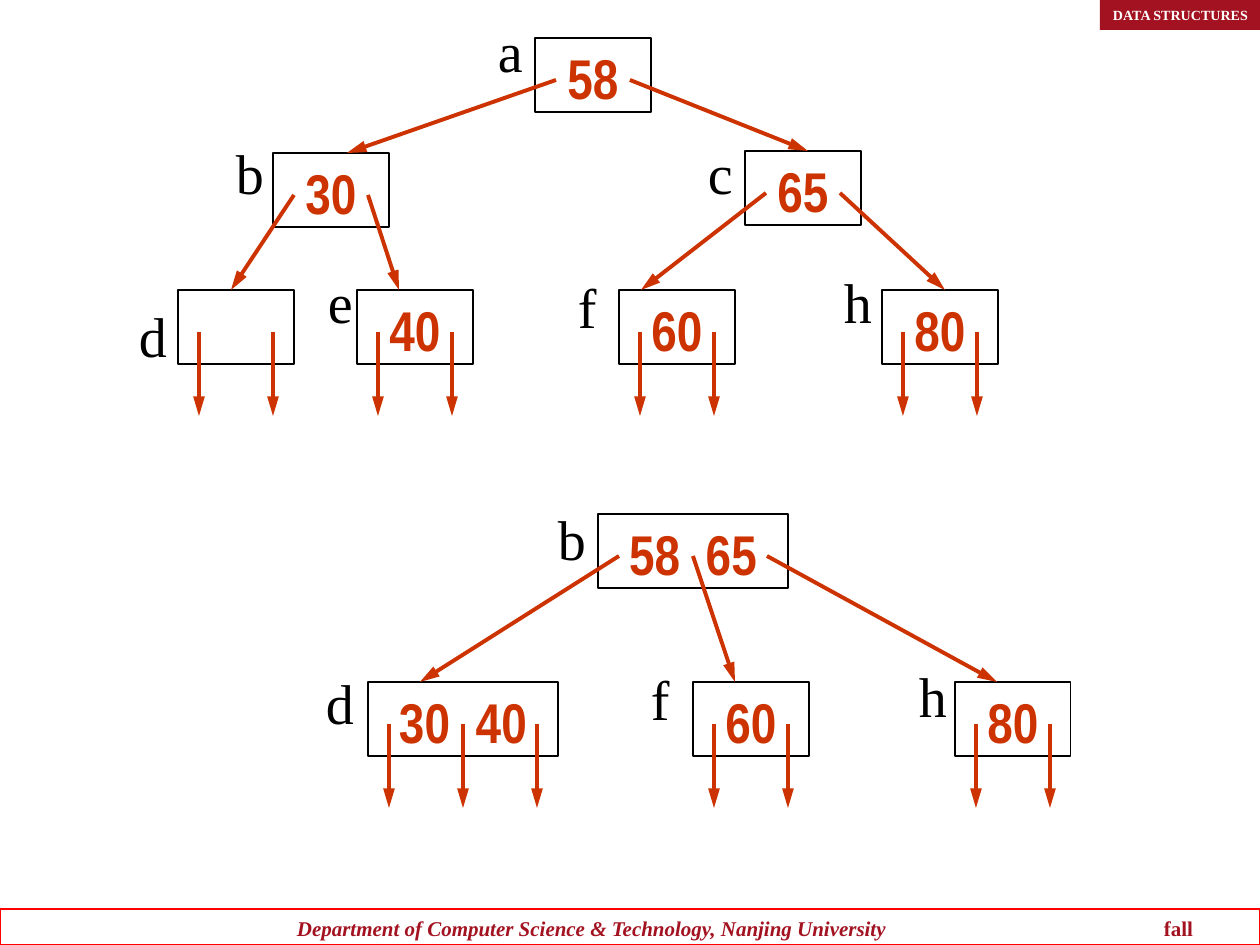
from dataclasses import dataclass

from lxml import etree
from pptx import Presentation, util as u
from pptx.dml.color import RGBColor
from pptx.enum import shapes, text
from pptx.oxml.ns import qn

PX = 914400 // 126
W, H = 1260, 945
NODE_H, KEY_W, EDGE_W, ARROW_Y, LEAF_LEN = 74, 74, 21, 42, 84

COLORS = {"ink": "000000", "key": "CC3300", "brand": "A31221",
          "rule": "FF0000", "paper": "FFFFFF"}

KEY_FONT = {"name": "Arial Narrow", "size": u.Pt(32), "bold": True}
LABEL_FONT = {"name": "Times New Roman", "size": u.Pt(32)}
FOOTER_FONT = {"name": "Times New Roman", "size": u.Pt(12), "bold": True}
HEADER_FONT = {"name": "Times New Roman", "size": u.Pt(8), "bold": True}


@dataclass
class Node:
    x: int
    y: int
    keys: tuple
    label_dx: int
    label_dy: int
    entry: int = 0
    children: str = ""

    @property
    def pointers(self):
        return max(len(self.keys), 1) + 1

    @property
    def width(self):
        return 2 * EDGE_W + KEY_W * (self.pointers - 1)


BINARY_TREE = {
    "a": Node(357, 0, ("58",), -37, -22, children="bc"),
    "b": Node(95, 115, ("30",), -37, -15, 74, "de"),
    "c": Node(567, 113, ("65",), -37, -13, 63, "fh"),
    "d": Node(0, 252, (), -39, 11, 53),
    "e": Node(179, 252, ("40",), -29, -22, 42),
    "f": Node(441, 252, ("60",), -41, -17, 22),
    "h": Node(704, 252, ("80",), -38, -22, 63),
}
MERGED_TREE = {
    "b": Node(230, 0, ("58", "65"), -40, -10, children="dfh"),
    "d": Node(0, 168, ("30", "40"), -42, -14, 52),
    "f": Node(325, 168, ("60",), -42, -17, 42),
    "h": Node(587, 168, ("80",), -36, -21, 42),
}


def emu(*lengths):
    return [n * PX for n in lengths]


def rgb(name):
    return RGBColor.from_string(COLORS[name])


def set_frame(sp, anchor, left=0, top=0, wrap=True):
    tf = sp.text_frame
    values = {"margin_left": left * PX, "margin_right": 0, "margin_top": top * PX,
              "margin_bottom": 0, "vertical_anchor": anchor, "word_wrap": wrap}
    for name, value in values.items():
        setattr(tf, name, value)
    return tf.paragraphs[0]


def add_run(p, words, font, color, **extra):
    r = p.add_run()
    r.text = words
    for name, value in {**font, **extra}.items():
        setattr(r.font, name, value)
    r.font.color.rgb = rgb(color)
    return r


def add_box(s, x, y, w, h, fill=None, line=None):
    sp = s.shapes.add_shape(shapes.MSO_SHAPE.RECTANGLE, *emu(x, y, w, h))
    sp.shadow.inherit = False
    if fill:
        sp.fill.solid()
        sp.fill.fore_color.rgb = rgb(fill)
    else:
        sp.fill.background()
    if line:
        sp.line.color.rgb = rgb(line)
        sp.line.width = u.Pt(0.75)
    else:
        sp.line.fill.background()
    return sp


def add_arrow(s, x1, y1, x2, y2):
    sp = s.shapes.add_connector(shapes.MSO_CONNECTOR.STRAIGHT, *emu(x1, y1, x2, y2))
    sp.line.color.rgb = rgb("key")
    sp.line.width = u.Pt(2.25)
    etree.SubElement(sp.line._get_or_add_ln(), qn("a:tailEnd"), type="triangle",
                     w="med", len="lg")
    etree.SubElement(sp._element.spPr, qn("a:effectLst"))


def add_node(s, x, y, name, node):
    sp = add_box(s, x, y, node.width, NODE_H, line="ink")
    p = set_frame(sp, text.MSO_ANCHOR.MIDDLE, top=4, wrap=False)
    p.alignment = text.PP_ALIGN.CENTER
    for i, key in enumerate(node.keys):
        if i:
            gap = add_run(p, " ", KEY_FONT, "key")
            gap.font._element.set("spc", "730")
        add_run(p, key, KEY_FONT, "key")
    sp = s.shapes.add_textbox(*emu(x + node.label_dx, y + node.label_dy, 36, 68))
    add_run(set_frame(sp, text.MSO_ANCHOR.TOP), name, LABEL_FONT, "ink")


def add_pointers(s, x, y, node, targets):
    for i in range(node.pointers):
        x1, y1 = x + EDGE_W + i * KEY_W, y + ARROW_Y
        x2, y2 = targets[i] if targets else (x1, y1 + LEAF_LEN)
        add_arrow(s, x1, y1, x2, y2)


def add_tree(s, left, top, tree):
    for name, node in tree.items():
        add_node(s, left + node.x, top + node.y, name, node)
    for node in tree.values():
        kids = [tree[c] for c in node.children]
        targets = [(left + k.x + k.entry, top + k.y) for k in kids]
        add_pointers(s, left + node.x, top + node.y, node, targets)


def add_header(s, x, y, w, h):
    sp = add_box(s, x, y, w, h, fill="brand")
    p = set_frame(sp, text.MSO_ANCHOR.MIDDLE, left=13, wrap=False)
    p.alignment = text.PP_ALIGN.LEFT
    add_run(p, "DATA STRUCTURES", HEADER_FONT, "paper")


def add_footer(s, x, y, w, h):
    name_x, term_x = 297, 1164
    sp = add_box(s, x, y, w, h, line="rule")
    p = set_frame(sp, text.MSO_ANCHOR.TOP, left=name_x, top=7)
    p.alignment = text.PP_ALIGN.LEFT
    tabs = etree.SubElement(p._p.get_or_add_pPr(), qn("a:tabLst"))
    etree.SubElement(tabs, qn("a:tab"), pos=str((term_x - name_x) * PX), algn="l")
    add_run(p, "Department of Computer Science & Technology, Nanjing University",
            FOOTER_FONT, "brand", italic=True)
    add_run(p, "\tfall", FOOTER_FONT, "brand")


def main():
    prs = Presentation()
    prs.slide_width, prs.slide_height = u.Inches(10), u.Inches(7.5)
    s = prs.slides.add_slide(prs.slide_layouts[6])
    add_footer(s, 0, 909, W, H - 909)
    add_header(s, 1100, 0, W - 1100, 30)
    add_tree(s, 178, 38, BINARY_TREE)
    add_tree(s, 368, 514, MERGED_TREE)
    prs.save("out.pptx")


if __name__ == "__main__":
    main()
